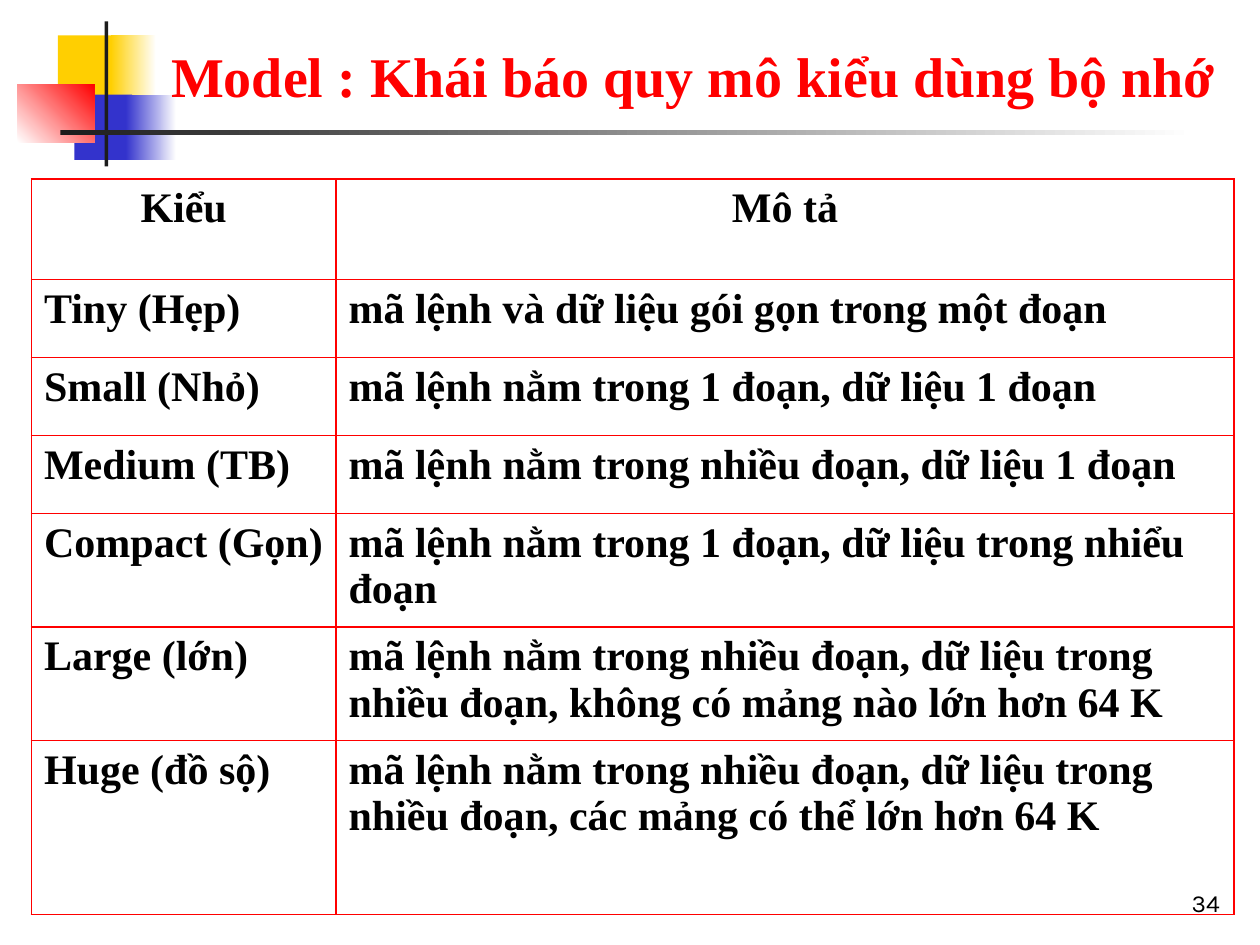
import pptx
import pptx.dml.color
import pptx.enum.shapes
import pptx.enum.text
import pptx.oxml
import pptx.oxml.ns
import pptx.util

Pt = pptx.util.Pt
ALIGN = pptx.enum.text.PP_ALIGN

COLOURS = {
    "white": "FFFFFF",
    "black": "000000",
    "charcoal": "1C1C1C",
    "yellow": "FFCF01",
    "blue": "3333CC",
    "red": "FF0000",
}
SERIF = "Times New Roman"

# Left, top, width, height, colours from start to end, gradient angle
ORNAMENTS = [
    (33.12, 20.16, 34.56, 37.44, ["yellow"], 0),
    (63.36, 20.16, 25.92, 37.44, ["yellow", "white"], 0),
    (42.48, 54, 33.12, 37.44, ["blue"], 0),
    (72, 54, 28.8, 37.44, ["blue", "white"], 0),
    (10.08, 48.24, 43.92, 33.12, ["white", "red"], 45),
    (59.76, 12.24, 2.16, 82.8, ["charcoal"], 0),
    (34.56, 74.16, 648, 2.88, ["charcoal", "white"], 0),
]

COLUMN_WIDTHS = [174, 513.2]
MODELS = [
    (57.4, "Kiểu", "Mô tả"),
    (44.6, "Tiny (Hẹp)", "mã lệnh và dữ liệu gói gọn trong một đoạn"),
    (44.6, "Small (Nhỏ)", "mã lệnh nằm trong 1 đoạn, dữ liệu 1 đoạn"),
    (44.6, "Medium (TB)", "mã lệnh nằm trong nhiều đoạn, dữ liệu 1 đoạn"),
    (64.9, "Compact (Gọn)",
     "mã lệnh nằm trong 1 đoạn, dữ liệu trong nhiểu đoạn"),
    (64.9, "Large (lớn)",
     "mã lệnh nằm trong nhiều đoạn, dữ liệu trong nhiều đoạn, "
     "không có mảng nào lớn hơn 64 K"),
    (99.4, "Huge (đồ sộ)",
     "mã lệnh nằm trong nhiều đoạn, dữ liệu trong nhiều đoạn, "
     "các mảng có thể lớn hơn 64 K"),
]


def rgb(name):
    return pptx.dml.color.RGBColor.from_string(COLOURS[name])


def add_ornament(page, left, top, width, height, colours, angle):
    shape = page.shapes.add_shape(
        pptx.enum.shapes.MSO_SHAPE.RECTANGLE,
        Pt(left), Pt(top), Pt(width), Pt(height))
    shape.shadow.inherit = False
    shape.line.fill.background()
    if len(colours) == 1:
        shape.fill.solid()
        shape.fill.fore_color.rgb = rgb(colours[0])
        return
    shape.fill.gradient()
    shape.fill.gradient_angle = angle
    for stop, colour in zip(shape.fill.gradient_stops, colours):
        stop.color.rgb = rgb(colour)


def write(frame, text, size, font, colour, bold, align):
    para = frame.paragraphs[0]
    para.alignment = align
    span = para.add_run()
    span.text = text
    span.font.size = Pt(size)
    span.font.name = font
    span.font.bold = bold
    span.font.color.rgb = rgb(colour)


def add_text(page, left, top, width, height, *style):
    box = page.shapes.add_textbox(Pt(left), Pt(top), Pt(width), Pt(height))
    frame = box.text_frame
    frame.word_wrap = True
    frame.vertical_anchor = pptx.enum.text.MSO_ANCHOR.BOTTOM
    write(frame, *style)


def set_borders(cell, colour, width):
    properties = cell._tc.get_or_add_tcPr()
    namespace = pptx.oxml.ns.nsdecls("a")
    for index, side in enumerate(["lnL", "lnR", "lnT", "lnB"]):
        border = pptx.oxml.parse_xml(
            f'<a:{side} {namespace} w="{Pt(width)}"><a:solidFill>'
            f'<a:srgbClr val="{COLOURS[colour]}"/></a:solidFill></a:{side}>')
        properties.insert(index, border)


def add_model_table(page, left, top):
    heights = [model[0] for model in MODELS]
    table = page.shapes.add_table(
        len(MODELS), len(COLUMN_WIDTHS), Pt(left), Pt(top),
        Pt(sum(COLUMN_WIDTHS)), Pt(sum(heights))).table
    table.first_row = False
    table.horz_banding = False
    for column, width in zip(table.columns, COLUMN_WIDTHS):
        column.width = Pt(width)
    for row_index, (height, *texts) in enumerate(MODELS):
        table.rows[row_index].height = Pt(height)
        align = ALIGN.LEFT if row_index else ALIGN.CENTER
        for column_index, text in enumerate(texts):
            cell = table.cell(row_index, column_index)
            cell.fill.background()
            set_borders(cell, "red", 1.08)
            write(cell.text_frame, text, 24, SERIF, "black", True, align)


def main():
    deck = pptx.Presentation()
    deck.slide_width, deck.slide_height = Pt(720), Pt(540)
    page = deck.slides.add_slide(deck.slide_layouts[6])

    # Corner ornament and rule
    for ornament in ORNAMENTS:
        add_ornament(page, *ornament)

    # Slide number
    add_text(page, 554.4, 491.76, 149.76, 36,
             "34", 14, "Karla", "black", False, ALIGN.RIGHT)

    # Title
    add_text(page, 90.72, 16.56, 613.44, 48.96,
             "Model : Khái báo quy mô kiểu dùng bộ nhớ",
             32, SERIF, "red", True, ALIGN.LEFT)

    # Memory models
    add_model_table(page, 18, 102.24)

    deck.save("out.pptx")


if __name__ == "__main__":
    main()
